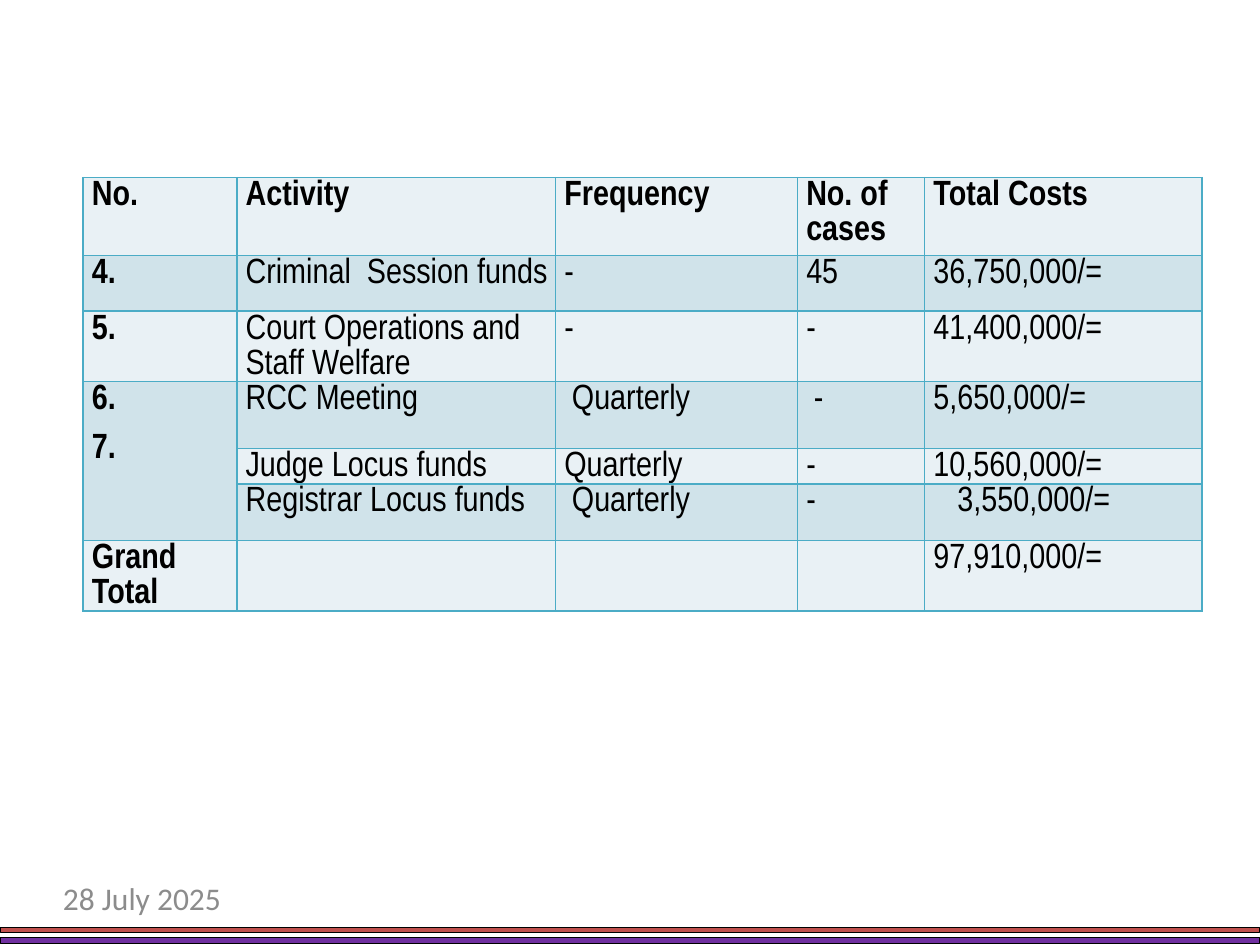
import pptx
import pptx.dml.color
import pptx.enum.shapes
import pptx.enum.text
import pptx.oxml
import pptx.oxml.ns
import pptx.util
from pptx.util import Inches

COLOURS = {
    "text": "000000",
    "date": "8C8C8C",
    "border": "4BACC6",
    "light": "E9F1F5",
    "dark": "D0E3EA",
    "purple": "7030A0",
    "red": "C0504D",
}
COLUMNS = [1.22, 2.53, 1.92, 1.01, 2.2]
HEIGHTS = [0.62, 0.44, 0.56, 0.53, 0.28, 0.45, 0.56]
ROWS = [
    ["No.", "Activity", "Frequency", "No. of cases", "Total Costs"],
    ["4.", "Criminal  Session funds", "-", "45", "36,750,000/="],
    ["5.", "Court Operations and Staff Welfare", "-", "-", "41,400,000/="],
    ["6.\n7.", "RCC Meeting", "Quarterly", "-", "5,650,000/="],
    ["", "Judge Locus funds", "Quarterly", "-", "10,560,000/="],
    ["", "Registrar Locus funds", "Quarterly", "-", "3,550,000/="],
    ["Grand Total", "", "", "", "97,910,000/="],
]
INDENTS = {(3, 2): 0.06, (3, 3): 0.06, (5, 2): 0.06, (5, 4): 0.19}
MERGED = {"column": 0, "first": 3, "last": 5}


def colour(name):
    """Return the named colour as an RGB value."""
    return pptx.dml.color.RGBColor.from_string(COLOURS[name])


def apply_format(target, values):
    """Set every attribute in a dict of format values."""
    for name, value in values.items():
        setattr(target, name, value)


def write_text(frame, text, font, paragraph=None, indent=0):
    """Write one formatted paragraph for each line of the text."""
    for index, line in enumerate(text.split("\n")):
        para = frame.add_paragraph() if index else frame.paragraphs[0]
        apply_format(para, paragraph or {})
        if indent:
            para._p.get_or_add_pPr().set("marL", str(Inches(indent)))
        span = para.add_run()
        span.text = line
        apply_format(span.font, {key: font[key] for key in font if key != "colour"})
        span.font.color.rgb = colour(font["colour"])


def add_borders(cell):
    """Draw a thin line on all four sides of a cell."""
    properties = cell._tc.get_or_add_tcPr()
    for index, side in enumerate(("lnL", "lnR", "lnT", "lnB")):
        properties.insert(index, pptx.oxml.parse_xml(
            f'<a:{side} {pptx.oxml.ns.nsdecls("a")} w="{pptx.util.Pt(1)}"><a:solidFill>'
            f'<a:srgbClr val="{COLOURS["border"]}"/></a:solidFill></a:{side}>'))


def add_cost_table(page):
    """Add the table of activities and their costs."""
    table = page.shapes.add_table(
        len(ROWS), len(COLUMNS), Inches(0.66), Inches(1.41),
        Inches(sum(COLUMNS)), Inches(sum(HEIGHTS))).table
    for column, width in zip(table.columns, COLUMNS):
        column.width = Inches(width)
    for row, height in zip(table.rows, HEIGHTS):
        row.height = Inches(height)
    margins = {"margin_left": Inches(0.07), "margin_right": Inches(0.05),
               "margin_top": 0, "margin_bottom": 0}
    spacing = {"line_spacing": 1.07, "space_after": pptx.util.Pt(8)}
    for r, row in enumerate(ROWS):
        for c, text in enumerate(row):
            cell = table.cell(r, c)
            apply_format(cell, margins)
            in_merge = c == MERGED["column"] and MERGED["first"] <= r <= MERGED["last"]
            band = MERGED["first"] if in_merge else r
            cell.fill.solid()
            cell.fill.fore_color.rgb = colour("dark" if band % 2 else "light")
            add_borders(cell)
            if text:
                font = {"name": "Arial Narrow", "size": pptx.util.Pt(20),
                        "bold": r == 0 or c == 0, "colour": "text"}
                write_text(cell.text_frame, text, font, spacing, INDENTS.get((r, c), 0))
    table.cell(MERGED["first"], MERGED["column"]).merge(
        table.cell(MERGED["last"], MERGED["column"]))


def add_date(page, text):
    """Add the date at the lower left."""
    box = page.shapes.add_textbox(Inches(0.5), Inches(6.98), Inches(2.3), Inches(0.3))
    apply_format(box.text_frame, {
        "word_wrap": True, "margin_left": 0, "margin_right": 0,
        "margin_top": 0, "margin_bottom": 0,
        "auto_size": pptx.enum.text.MSO_AUTO_SIZE.SHAPE_TO_FIT_TEXT})
    write_text(box.text_frame, text, {
        "name": "Calibri", "size": pptx.util.Pt(18), "colour": "date"})


def add_stripe(page, top, height, fill):
    """Add an outlined stripe across the full page width."""
    stripe = page.shapes.add_shape(
        pptx.enum.shapes.MSO_SHAPE.RECTANGLE, 0, Inches(top), Inches(10), Inches(height))
    stripe.shadow.inherit = False
    stripe.fill.solid()
    stripe.fill.fore_color.rgb = colour(fill)
    stripe.line.color.rgb = colour("text")
    stripe.line.width = pptx.util.Pt(0.5)


def main():
    """Build the cost slide and save it."""
    deck = pptx.Presentation()
    apply_format(deck, {"slide_width": Inches(10), "slide_height": Inches(7.5)})
    page = deck.slides.add_slide(deck.slide_layouts.get_by_name("Blank"))
    add_cost_table(page)
    add_date(page, "28 July 2025")
    add_stripe(page, 7.44, 0.05, "purple")
    add_stripe(page, 7.36, 0.04, "red")
    deck.save("out.pptx")


if __name__ == "__main__":
    main()
